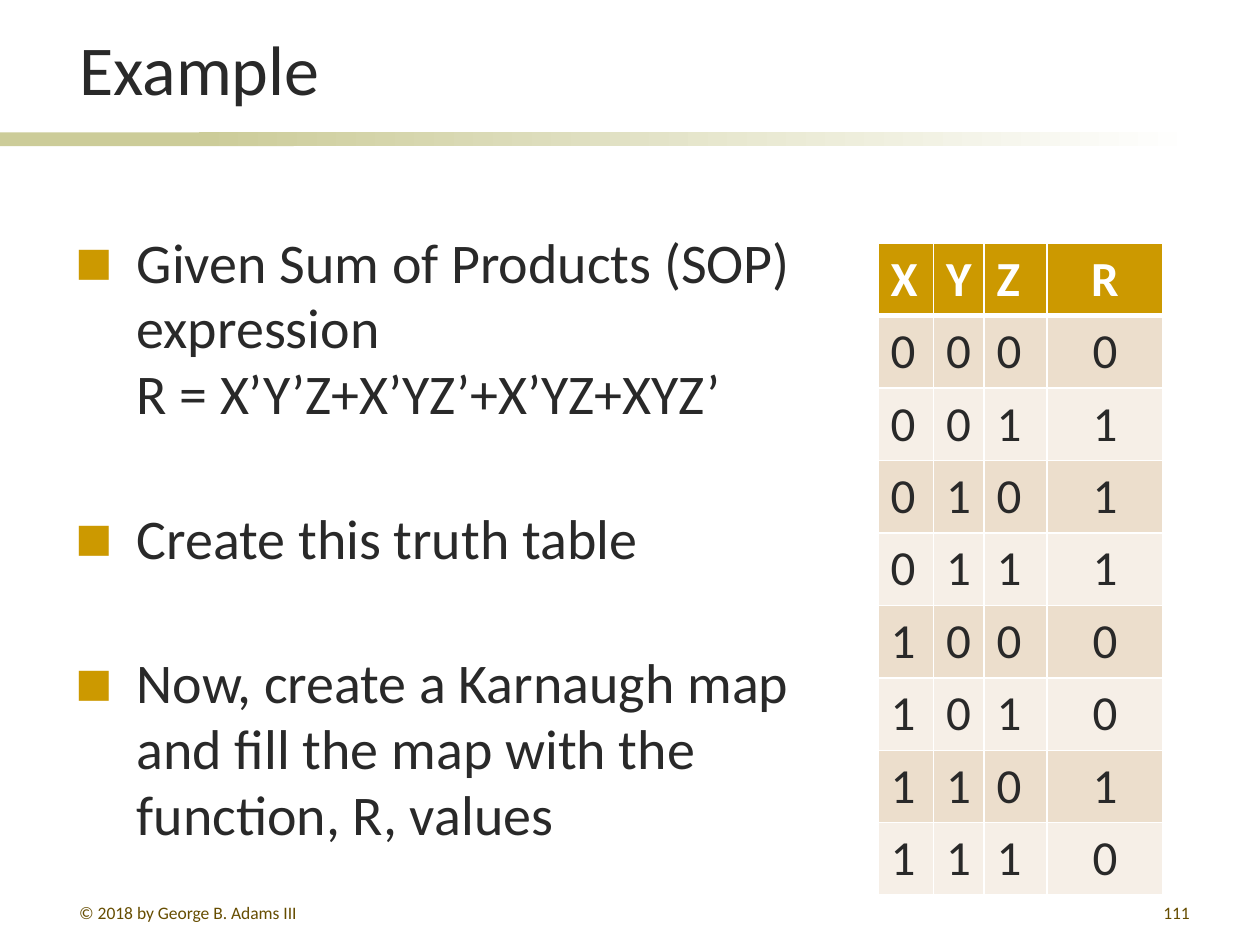
from typing import NamedTuple

from lxml import etree
from pptx import Presentation
from pptx import util as u
from pptx.dml.color import RGBColor
from pptx.enum import shapes, text
from pptx.oxml import ns

FONT = "Calibri"
INK = RGBColor(0x29, 0x29, 0x29)
GOLD = RGBColor(0xCC, 0x99, 0x00)
SAGE = RGBColor(0xCC, 0xCC, 0x99)
WHITE = RGBColor(0xFF, 0xFF, 0xFF)
BROWN = RGBColor(0x66, 0x4D, 0x00)
BAND_DARK = RGBColor(0xEC, 0xDE, 0xCC)
BAND_LIGHT = RGBColor(0xF6, 0xEF, 0xE7)
LEFT, CENTER, RIGHT = text.PP_ALIGN.LEFT, text.PP_ALIGN.CENTER, text.PP_ALIGN.RIGHT


class Box(NamedTuple):
    left: float
    top: float
    width: float
    height: float

    def lengths(self) -> list[u.Pt]:
        return [u.Pt(value) for value in self]


class Style(NamedTuple):
    size: float
    color: RGBColor
    bold: bool = False


class Footer(NamedTuple):
    box: Box
    words: str
    align: text.PP_ALIGN


class Column(NamedTuple):
    heading: str
    width: float
    align: text.PP_ALIGN


BODY = Style(32, INK)
POINTS = [
    ["Given Sum of Products (SOP) expression", "R = X’Y’Z+X’YZ’+X’YZ+XYZ’"],
    ["Create this truth table"],
    ["Now, create a Karnaugh map and fill the map with the function, R, values"],
]
COLUMNS = [
    Column("X", 31.7, LEFT),
    Column("Y", 28.8, LEFT),
    Column("Z", 36, LEFT),
    Column("R", 66.2, CENTER),
]
RESULTS = "01110010"
ROW_HEIGHT = 41.4
FOOTERS = [
    Footer(Box(38.2, 511.9, 156.2, 15.1), "© 2018 by George B. Adams III", LEFT),
    Footer(Box(537.1, 511.9, 149.8, 15.1), "111", RIGHT),
]


def add_run(paragraph, words: str, style: Style) -> None:
    run = paragraph.add_run()
    run.text = words
    font = run.font
    font.name, font.size, font.bold = FONT, u.Pt(style.size), style.bold
    font.color.rgb = style.color


def add_bar(slide, box: Box):
    bar = slide.shapes.add_shape(shapes.MSO_SHAPE.RECTANGLE, *box.lengths())
    bar.shadow.inherit = False
    bar.line.fill.background()
    return bar


def add_bullet(paragraph) -> None:
    props = paragraph._p.get_or_add_pPr()
    props.set("marL", str(u.Pt(35)))
    props.set("indent", str(-u.Pt(35)))
    color = etree.SubElement(props, ns.qn("a:buClr"))
    etree.SubElement(color, ns.qn("a:srgbClr"), val=str(GOLD))
    etree.SubElement(props, ns.qn("a:buSzPct"), val="70000")
    etree.SubElement(props, ns.qn("a:buFont"), typeface=FONT)
    etree.SubElement(props, ns.qn("a:buChar"), char="■")


def add_borders(cell, bottom: float, top: float) -> None:
    props = cell._tc.get_or_add_tcPr()
    sides = {"a:lnL": 1, "a:lnR": 1, "a:lnT": top, "a:lnB": bottom}
    for place, (tag, width) in enumerate(sides.items()):
        line = etree.Element(ns.qn(tag), w=str(u.Pt(width)))
        fill = etree.SubElement(line, ns.qn("a:solidFill"))
        etree.SubElement(fill, ns.qn("a:srgbClr"), val=str(WHITE))
        props.insert(place, line)


def add_points(slide) -> None:
    frame = slide.shapes.add_textbox(*Box(36, 126, 428.4, 356.4).lengths()).text_frame
    frame.word_wrap = True
    frame.margin_top = u.Pt(5.6)
    for index, lines in enumerate(POINTS):
        paragraph = frame.paragraphs[0] if index == 0 else frame.add_paragraph()
        paragraph.line_spacing = 0.98
        paragraph.space_before = u.Pt(44.8 if index else 0)
        add_bullet(paragraph)
        for number, line in enumerate(lines):
            if number:
                paragraph.add_line_break()
            add_run(paragraph, line, BODY)


def add_truth_table(slide) -> None:
    # Inputs count upward in binary; the result follows them
    rows = [[column.heading for column in COLUMNS]]
    rows += [list(f"{number:03b}{result}") for number, result in enumerate(RESULTS)]
    box = Box(501.8, 139, sum(c.width for c in COLUMNS), ROW_HEIGHT * len(rows))
    table = slide.shapes.add_table(len(rows), len(COLUMNS), *box.lengths()).table
    for index, column in enumerate(COLUMNS):
        table.columns[index].width = u.Pt(column.width)
    for r, values in enumerate(rows):
        table.rows[r].height = u.Pt(ROW_HEIGHT)
        header = r == 0
        band = GOLD if header else BAND_DARK if r % 2 else BAND_LIGHT
        style = Style(28, WHITE if header else INK, header)
        for c, value in enumerate(values):
            cell = table.cell(r, c)
            cell.fill.solid()
            cell.fill.fore_color.rgb = band
            add_borders(cell, bottom=3 if header else 1, top=3 if r == 1 else 1)
            paragraph = cell.text_frame.paragraphs[0]
            paragraph.alignment = COLUMNS[c].align
            add_run(paragraph, value, style)


def add_footer(slide, footer: Footer) -> None:
    frame = slide.shapes.add_textbox(*footer.box.lengths()).text_frame
    frame.word_wrap = True
    paragraph = frame.paragraphs[0]
    paragraph.alignment = footer.align
    add_run(paragraph, footer.words, Style(10, BROWN))


deck = Presentation()
deck.slide_width, deck.slide_height = u.Pt(720), u.Pt(540)
slide = deck.slides.add_slide(deck.slide_layouts[5])

# Rule below the title: a solid start that fades out
rule_start = add_bar(slide, Box(0, 75.6, 167.8, 7.9))
rule_start.fill.solid()
rule_start.fill.fore_color.rgb = SAGE
rule_fade = add_bar(slide, Box(113.8, 75.6, 570.2, 7.9))
rule_fade.fill.gradient()
rule_fade.fill.gradient_angle = 0
for stop, color in zip(rule_fade.fill.gradient_stops, (SAGE, WHITE)):
    stop.color.rgb = color

# Title
title = slide.shapes.title
title.left, title.top, title.width, title.height = Box(38.2, 7.9, 648.7, 58.3).lengths()
title.text_frame.vertical_anchor = text.MSO_ANCHOR.BOTTOM
heading = title.text_frame.paragraphs[0]
heading.alignment = LEFT
add_run(heading, "Example", Style(40, INK))

# Content
add_points(slide)
add_truth_table(slide)
for footer in FOOTERS:
    add_footer(slide, footer)

deck.save("out.pptx")
